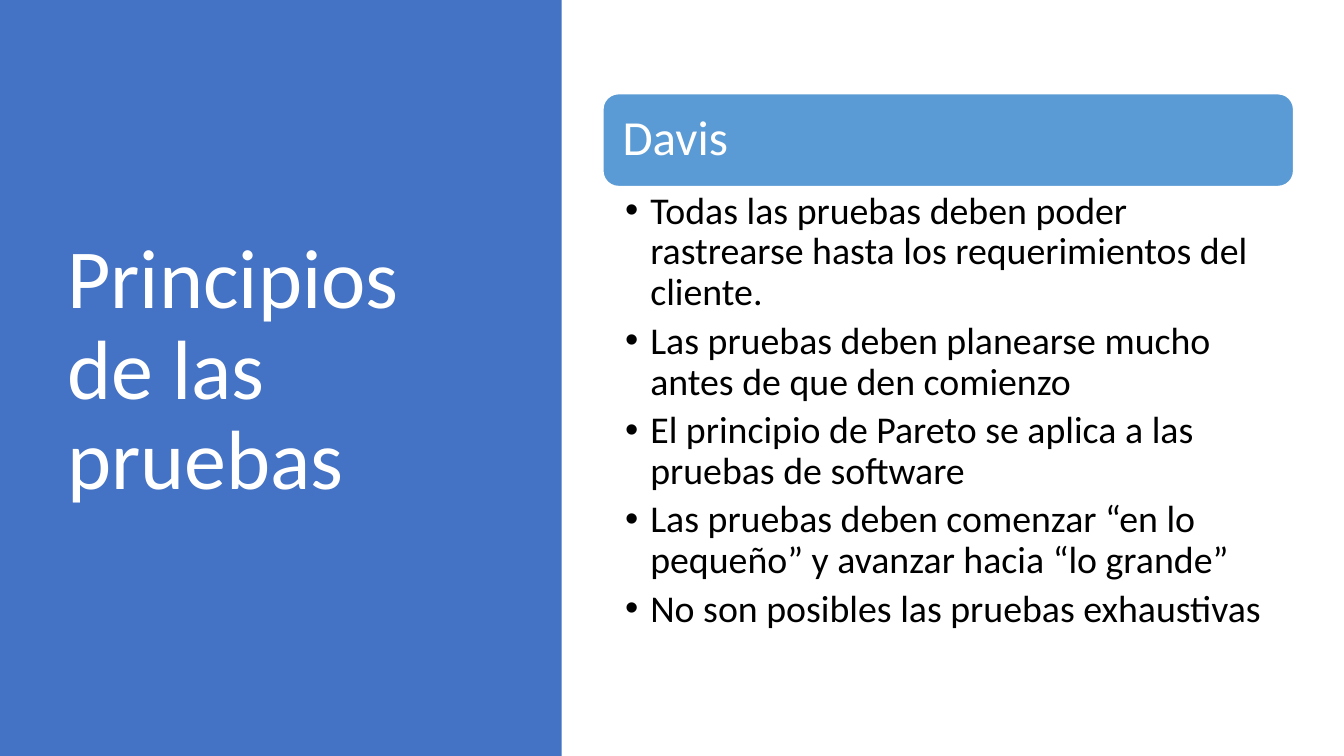
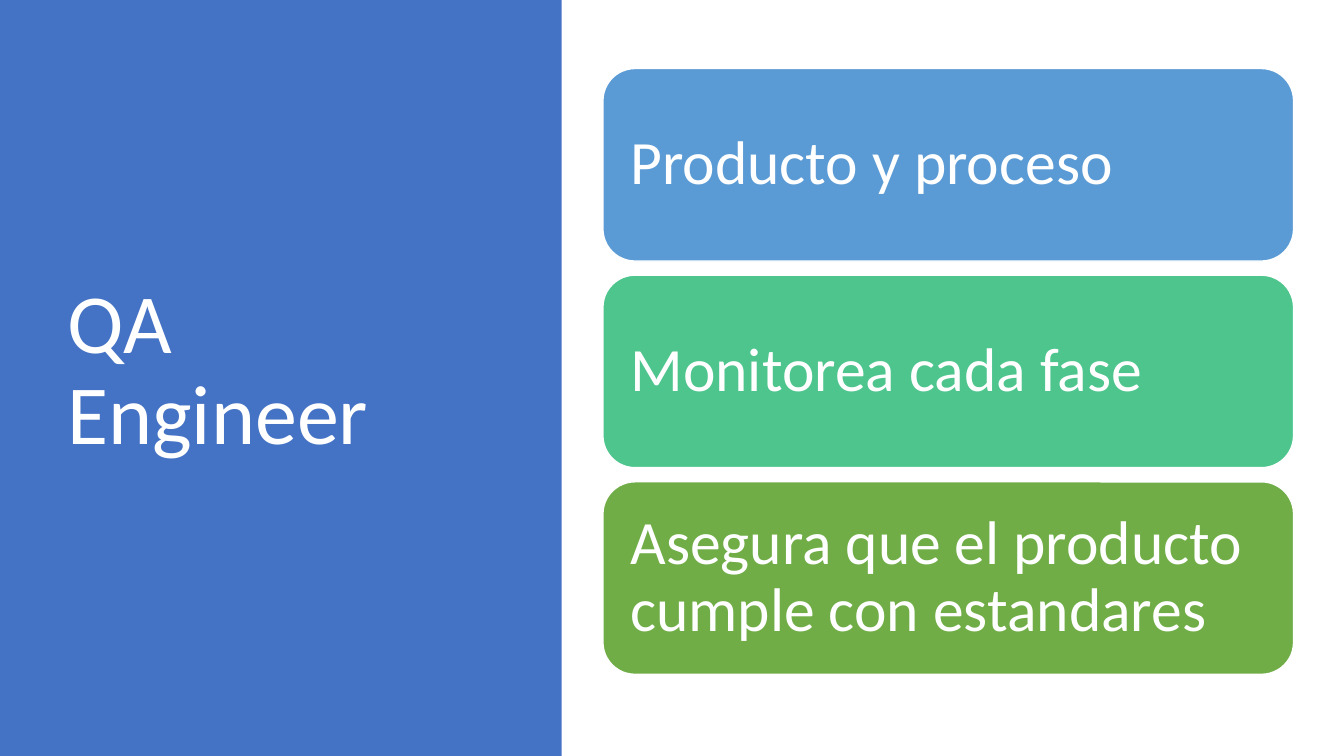
from dataclasses import dataclass

from lxml.etree import SubElement
from pptx import Presentation
from pptx.dml.color import RGBColor
from pptx.enum.shapes import MSO_SHAPE
from pptx.enum.text import MSO_ANCHOR, PP_ALIGN
from pptx.oxml.ns import qn
from pptx.presentation import Presentation as Deck
from pptx.shapes.autoshape import Shape
from pptx.slide import Slide
from pptx.util import Inches, Pt

WHITE = RGBColor(0xFF, 0xFF, 0xFF)
BLACK = RGBColor(0x00, 0x00, 0x00)
PANEL_BLUE = RGBColor(0x44, 0x72, 0xC4)
SKY = RGBColor(0x5B, 0x9B, 0xD5)
MINT = RGBColor(0x4D, 0xC5, 0x8D)
GREEN = RGBColor(0x70, 0xAD, 0x47)

FONT = "Calibri"
SLIDE_WIDTH, SLIDE_HEIGHT = 13.33, 7.5
PANEL_WIDTH = 5.57
CONTENT_LEFT, CONTENT_WIDTH = 5.98, 6.85
CARD_TOP, CARD_HEIGHT, CARD_GAP = 0.68, 1.91, 0.14
HEADER_TOP, HEADER_HEIGHT = 0.93, 0.92


@dataclass(frozen=True)
class Box:
    left: float
    top: float
    width: float
    height: float

    def emu(self) -> tuple[int, ...]:
        return tuple(Inches(n) for n in (self.left, self.top, self.width, self.height))


@dataclass(frozen=True)
class Card:
    text: str
    color: RGBColor


TITLE_BOX = Box(0.57, 0.68, 4.16, 6.02)

PRINCIPLES = [
    "Todas las pruebas deben poder rastrearse hasta los requerimientos del cliente.",
    "Las pruebas deben planearse mucho antes de que den comienzo",
    "El principio de Pareto se aplica a las pruebas de software",
    "Las pruebas deben comenzar “en lo pequeño” y avanzar hacia “lo grande”",
    "No son posibles las pruebas exhaustivas",
]

QA_CARDS = [
    Card("Producto y proceso", SKY),
    Card("Monitorea cada fase", MINT),
    Card("Asegura que el producto cumple con estandares", GREEN),
]


def write_text(
    shape: Shape,
    *texts: str,
    size: float,
    color: RGBColor = WHITE,
    anchor: MSO_ANCHOR = MSO_ANCHOR.MIDDLE,
    insets: tuple[float, float, float, float] = (0.1, 0.05, 0.1, 0.05),
    space_after: float = 0,
    bullet_indent: float = 0,
) -> None:
    frame = shape.text_frame
    frame.word_wrap = True
    frame.vertical_anchor = anchor
    frame.margin_left, frame.margin_top, frame.margin_right, frame.margin_bottom = (
        Inches(inset) for inset in insets
    )
    for index, text in enumerate(texts):
        para = frame.add_paragraph() if index else frame.paragraphs[0]
        para.alignment = PP_ALIGN.LEFT
        para.line_spacing = 0.9
        para.space_after = Pt(space_after)
        if bullet_indent:
            properties = para._p.get_or_add_pPr()
            properties.set("marL", str(Inches(bullet_indent)))
            properties.set("indent", str(-Inches(bullet_indent)))
            SubElement(properties, qn("a:buFont"), typeface="Arial")
            SubElement(properties, qn("a:buChar"), char="•")
        span = para.add_run()
        span.text = text
        span.font.name = FONT
        span.font.size = Pt(size)
        span.font.color.rgb = color


def add_block(
    page: Slide, kind: MSO_SHAPE, box: Box, fill: RGBColor, outlined: bool = False
) -> Shape:
    shape = page.shapes.add_shape(kind, *box.emu())
    shape.shadow.inherit = False
    shape.fill.solid()
    shape.fill.fore_color.rgb = fill
    if outlined:
        shape.line.color.rgb = WHITE
        shape.line.width = Pt(1)
    else:
        shape.line.fill.background()
    return shape


def add_card(page: Slide, card: Card, box: Box, *, size: float, inset: float) -> None:
    shape = add_block(page, MSO_SHAPE.ROUNDED_RECTANGLE, box, card.color, outlined=True)
    write_text(shape, card.text, size=size, insets=(inset,) * 4)


def add_page(deck: Deck, title: str) -> Slide:
    page = deck.slides.add_slide(deck.slide_layouts[6])
    add_block(page, MSO_SHAPE.RECTANGLE, Box(0, 0, PANEL_WIDTH, SLIDE_HEIGHT), PANEL_BLUE)
    write_text(page.shapes.add_textbox(*TITLE_BOX.emu()), title, size=60)
    return page


def build_principles(deck: Deck) -> None:
    page = add_page(deck, "Principios de las pruebas")
    header = Box(CONTENT_LEFT, HEADER_TOP, CONTENT_WIDTH, HEADER_HEIGHT)
    add_card(page, Card("Davis", SKY), header, size=35, inset=0.15)
    body = Box(CONTENT_LEFT, HEADER_TOP + HEADER_HEIGHT, CONTENT_WIDTH, 4.6)
    write_text(
        page.shapes.add_textbox(*body.emu()),
        *PRINCIPLES,
        size=27,
        color=BLACK,
        anchor=MSO_ANCHOR.TOP,
        insets=(0.22, 0.05, 0.27, 0.05),
        space_after=5.4,
        bullet_indent=0.25,
    )


def build_qa_engineer(deck: Deck) -> None:
    page = add_page(deck, "QA Engineer")
    for row, card in enumerate(QA_CARDS):
        top = CARD_TOP + row * (CARD_HEIGHT + CARD_GAP)
        box = Box(CONTENT_LEFT, top, CONTENT_WIDTH, CARD_HEIGHT)
        add_card(page, card, box, size=44, inset=0.18)


def main() -> None:
    deck = Presentation()
    deck.slide_width = Inches(SLIDE_WIDTH)
    deck.slide_height = Inches(SLIDE_HEIGHT)
    build_principles(deck)
    build_qa_engineer(deck)
    deck.save("out.pptx")


if __name__ == "__main__":
    main()
